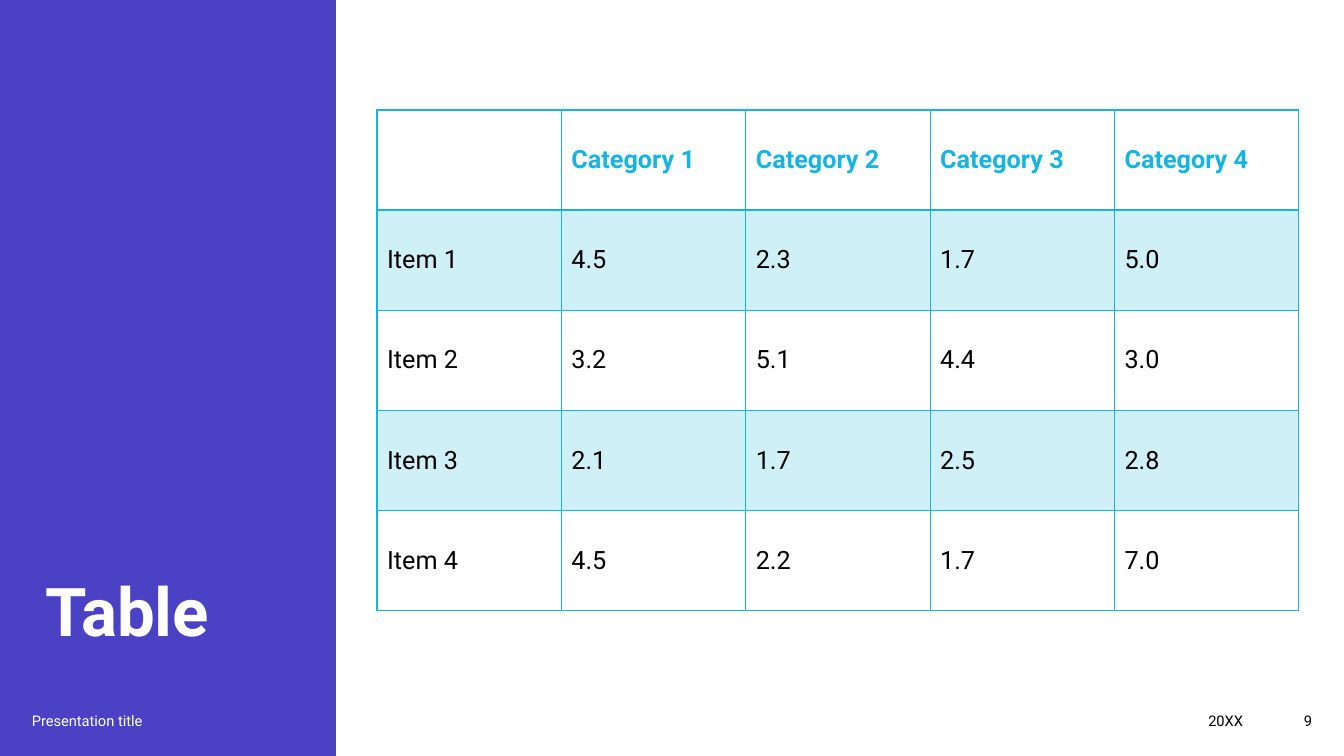
from lxml import etree
from pptx import Presentation
from pptx.dml.color import RGBColor
from pptx.enum import shapes, text
from pptx.oxml import ns
from pptx.util import Pt

# Content
TITLE = "Table"
ROWS = [
    ["", "Category 1", "Category 2", "Category 3", "Category 4"],
    ["Item 1", "4.5", "2.3", "1.7", "5.0"],
    ["Item 2", "3.2", "5.1", "4.4", "3.0"],
    ["Item 3", "2.1", "1.7", "2.5", "2.8"],
    ["Item 4", "4.5", "2.2", "1.7", "7.0"],
]

# Style
FONT = "Roboto"
PURPLE = RGBColor(0x4A, 0x41, 0xC5)
CYAN = RGBColor(0x17, 0xB4, 0xDF)
WHITE = RGBColor(0xFF, 0xFF, 0xFF)
BLACK = RGBColor(0x00, 0x00, 0x00)
BAND_OPACITY = 20  # percent
LEFT, RIGHT = text.PP_ALIGN.LEFT, text.PP_ALIGN.RIGHT
MIDDLE, BOTTOM = text.MSO_ANCHOR.MIDDLE, text.MSO_ANCHOR.BOTTOM

# Layout in px: left, top, width, height
SLIDE_WIDTH, SLIDE_HEIGHT = 1344, 756
PANEL = (0, 0, 336, SLIDE_HEIGHT)
TITLE_BOX = (36, 110, 263, 545)
TABLE_BOX = (377, 110, 922, 501)
FOOTER_TOP, FOOTER_HEIGHT = 701, 40
FOOTERS = [  # words, left, width, colour, alignment
    ("Presentation title", 22, 305, WHITE, LEFT),
    ("20XX", 773, 480, BLACK, RIGHT),
    ("9", 1253, 69, BLACK, RIGHT),
]


def px(length):
    return round(length * 914400 / 100.8)


def add_run(paragraph, words, size, color, bold=False):
    run = paragraph.add_run()
    run.text = words
    run.font.name = FONT
    run.font.size = Pt(size)
    run.font.bold = bold
    run.font.color.rgb = color
    return run


def add_label(slide, box, words, size, color, bold=False, align=LEFT, anchor=MIDDLE):
    frame = slide.shapes.add_textbox(*map(px, box)).text_frame
    frame.word_wrap = True
    frame.vertical_anchor = anchor
    frame.paragraphs[0].alignment = align
    return add_run(frame.paragraphs[0], words, size, color, bold)


def fill_cell(cell, banded):
    if not banded:
        cell.fill.background()
        return
    cell.fill.solid()
    cell.fill.fore_color.rgb = CYAN
    color = cell._tc.tcPr.find(".//" + ns.qn("a:srgbClr"))
    etree.SubElement(color, ns.qn("a:alpha"), val=str(BAND_OPACITY * 1000))


def set_borders(cell, widths):
    for index, (side, width) in enumerate(widths.items()):
        line = etree.Element(ns.qn("a:ln" + side), w=str(Pt(width)))
        fill = etree.SubElement(line, ns.qn("a:solidFill"))
        etree.SubElement(fill, ns.qn("a:srgbClr"), val=str(CYAN))
        cell._tc.tcPr.insert(index, line)


def add_data_table(slide):
    table = slide.shapes.add_table(len(ROWS), len(ROWS[0]), *map(px, TABLE_BOX)).table
    table.horz_banding = False
    table.first_row = False
    for row, values in enumerate(ROWS):
        header = row == 0
        widths = {"L": 1, "R": 1, "T": 2 if row == 1 else 1, "B": 2 if header else 1}
        for column, value in enumerate(values):
            cell = table.cell(row, column)
            cell.vertical_anchor = MIDDLE
            fill_cell(cell, banded=row % 2 == 1)
            set_borders(cell, widths)
            if value:
                paragraph = cell.text_frame.paragraphs[0]
                add_run(paragraph, value, 18, CYAN if header else BLACK, header)


def main():
    presentation = Presentation()
    presentation.slide_width = px(SLIDE_WIDTH)
    presentation.slide_height = px(SLIDE_HEIGHT)
    slide = presentation.slides.add_slide(presentation.slide_layouts[6])

    # Side panel and title
    panel = slide.shapes.add_shape(shapes.MSO_SHAPE.RECTANGLE, *map(px, PANEL))
    panel.shadow.inherit = False
    panel.fill.solid()
    panel.fill.fore_color.rgb = PURPLE
    panel.line.fill.background()
    title = add_label(slide, TITLE_BOX, TITLE, 48, WHITE, bold=True, anchor=BOTTOM)
    title.font._element.set("spc", "-20")

    # Table
    add_data_table(slide)

    # Footer
    for words, left, width, color, align in FOOTERS:
        box = (left, FOOTER_TOP, width, FOOTER_HEIGHT)
        add_label(slide, box, words, 10.5, color, align=align)

    presentation.save("out.pptx")


if __name__ == "__main__":
    main()
